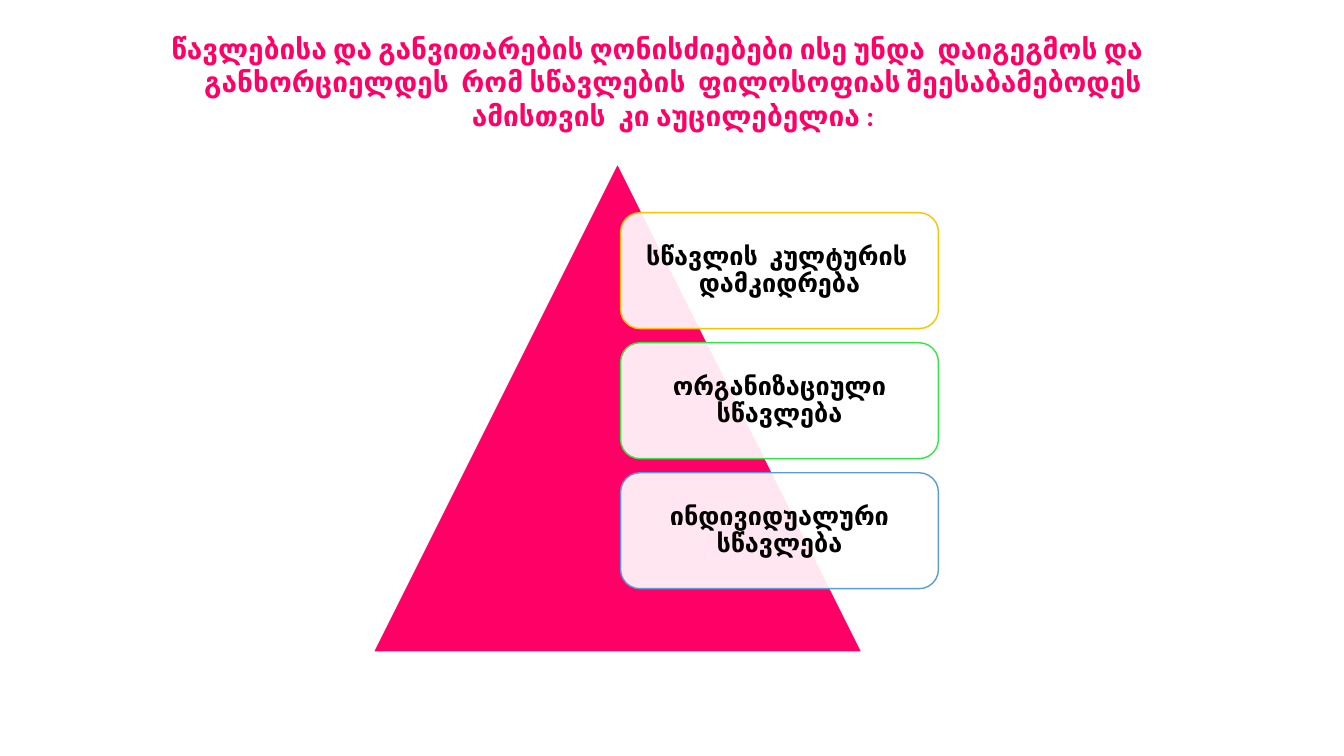
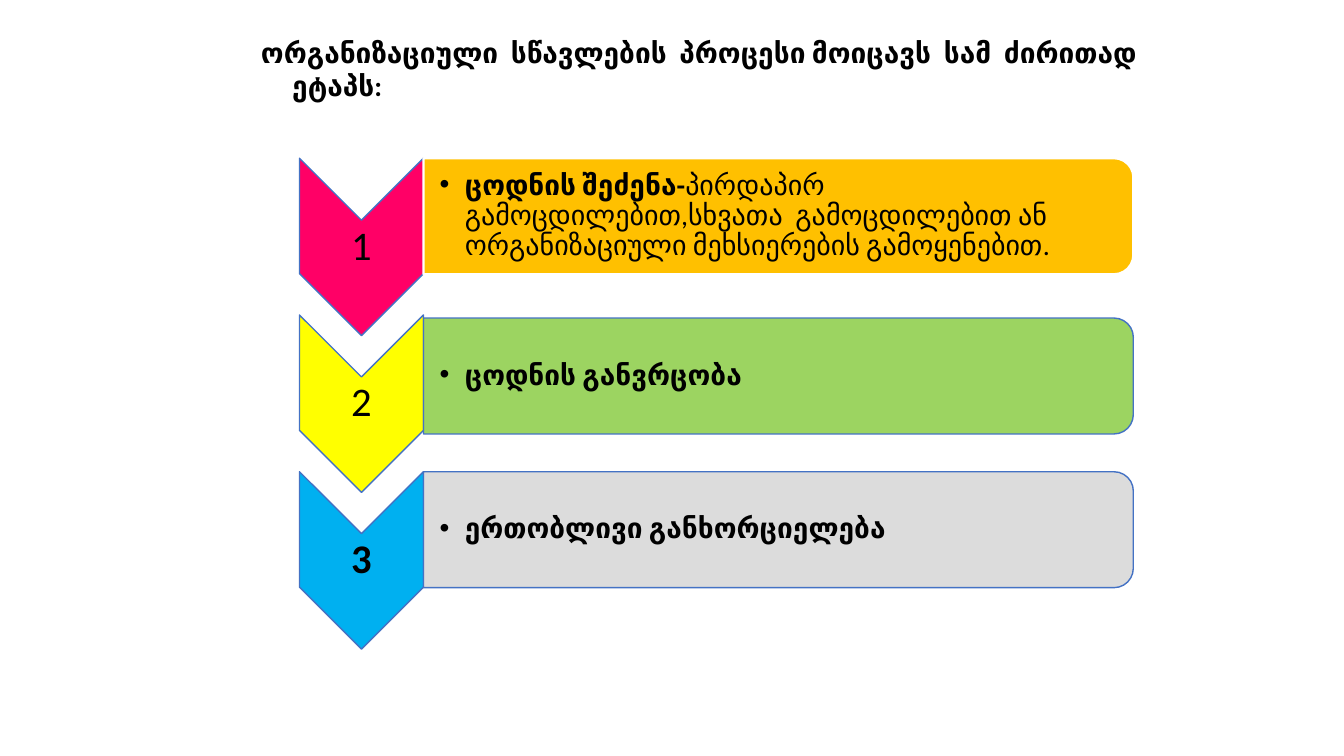
from dataclasses import dataclass

from lxml.etree import SubElement
from pptx import Presentation
from pptx.dml.color import RGBColor
from pptx.enum.shapes import MSO_SHAPE
from pptx.enum.text import MSO_ANCHOR, MSO_AUTO_SIZE, PP_ALIGN
from pptx.oxml.ns import qn
from pptx.util import Inches, Pt


@dataclass(frozen=True)
class Theme:
    font: str = "Calibri"
    title_size: int = 20
    card_size: int = 18
    number_size: int = 29
    step_size: int = 20
    text: str = "000000"
    white: str = "FFFFFF"
    pink: str = "FF0066"
    amber: str = "FFC000"
    green: str = "30E845"
    blue: str = "5B9BD5"
    outline: str = "4472C4"
    yellow: str = "FFFF00"
    lime: str = "92D050"
    cyan: str = "00B0F0"
    gray: str = "D9D9D9"
    opacity: int = 90


T = Theme()


# Shared helpers
def add_shape(s, kind, box, fill, line, line_width=1, opacity=100, turned=False):
    """Draw a preset in box; a turned one is rotated 90° and still fills box."""
    x, y, w, h = box
    if turned:
        x, y, w, h = x + (w - h) / 2, y + (h - w) / 2, h, w
    sp = s.shapes.add_shape(kind, Inches(x), Inches(y), Inches(w), Inches(h))
    sp.rotation = 90 if turned else 0
    sp.shadow.inherit = False
    sp.fill.solid()
    sp.fill.fore_color.rgb = RGBColor.from_string(fill)
    if opacity < 100:
        color = sp.fill._xPr.find(qn("a:solidFill"))[0]
        SubElement(color, qn("a:alpha"), val=str(opacity * 1000))
    sp.line.color.rgb = RGBColor.from_string(line)
    sp.line.width = Pt(line_width)
    return sp


def add_text(s, box, runs, size, color=T.text, align=PP_ALIGN.CENTER,
             anchor=MSO_ANCHOR.MIDDLE, insets=(0.1, 0.05, 0.1, 0.05),
             spacing=0.9, hanging=0, bullet=None):
    """Add a one-paragraph text box; runs are (text, bold) pairs."""
    tf = s.shapes.add_textbox(*(Inches(v) for v in box)).text_frame
    tf.word_wrap = True
    tf.vertical_anchor = anchor
    tf.margin_left, tf.margin_top, tf.margin_right, tf.margin_bottom = (
        Inches(v) for v in insets)
    p = tf.paragraphs[0]
    p.alignment = align
    p.line_spacing = spacing
    pPr = p._p.get_or_add_pPr()
    if hanging:
        pPr.set("marL", str(Inches(hanging)))
        pPr.set("indent", str(Inches(-hanging)))
    if bullet:
        SubElement(pPr, qn("a:buFont"), typeface="Arial")
        SubElement(pPr, qn("a:buChar"), char=bullet)
    for text, bold in runs:
        r = p.add_run()
        r.text = text
        r.font.name = T.font
        r.font.size = Pt(size)
        r.font.bold = bold
        r.font.color.rgb = RGBColor.from_string(color)
    return tf


def add_title(s, box, text, color, align):
    tf = add_text(s, box, [(text, True)], T.title_size, color, align,
                  MSO_ANCHOR.TOP, spacing=1.0, hanging=0.31)
    tf.auto_size = MSO_AUTO_SIZE.SHAPE_TO_FIT_TEXT


# Pyramid with a column of cards
def add_pyramid(s, box, cards):
    x, y, side, _ = box
    add_shape(s, MSO_SHAPE.ISOSCELES_TRIANGLE, box, T.pink, T.white)
    card_w, card_h, pitch, pad = side * 0.65, 1.15, 1.29, 0.06
    card_x = x + side / 2 + 0.03
    for i, (text, line) in enumerate(cards):
        card_y = y + 0.49 + i * pitch
        add_shape(s, MSO_SHAPE.ROUNDED_RECTANGLE, (card_x, card_y, card_w, card_h),
                  T.white, line, opacity=T.opacity)
        add_text(s, (card_x + pad, card_y + pad, card_w - 2 * pad, card_h - 2 * pad),
                 [(text, True)], T.card_size, insets=(0.07,) * 4)


# One numbered step: chevron and bar
def add_step(s, box, number, number_bold, chevron_fill, bar, runs):
    x, y, w, h = box
    chevron_w, bar_h, number_h, pad = 1.23, 1.15, 0.53, 0.06
    add_shape(s, MSO_SHAPE.CHEVRON, (x, y, chevron_w, h), chevron_fill,
              T.outline, turned=True)
    add_text(s, (x, y + (h - number_h) / 2, chevron_w, number_h),
             [(number, number_bold)], T.number_size, insets=(0.02,) * 4)
    bar_x, bar_y, bar_w = x + chevron_w, y + bar["drop"], w - chevron_w
    add_shape(s, MSO_SHAPE.ROUND_2_SAME_RECTANGLE, (bar_x, bar_y, bar_w, bar_h),
              bar["fill"], bar["line"], bar["width"], bar["opacity"], turned=True)
    add_text(s, (bar_x, bar_y + pad, bar_w - pad, bar_h - 2 * pad), runs,
             T.step_size, align=PP_ALIGN.LEFT, insets=(0.16, 0.01, 0.01, 0.01),
             hanging=0.25, bullet="•")


def add_steps(s, box, steps):
    x, y, w, h = box
    step_h = 1.76
    pitch = (h - step_h) / (len(steps) - 1)
    for i, step in enumerate(steps):
        add_step(s, (x, y + i * pitch, w, step_h), str(i + 1), *step)


def bar_style(fill, line=T.outline, width=1, opacity=T.opacity, drop=0):
    return dict(fill=fill, line=line, width=width, opacity=opacity, drop=drop)


# Slides
def pyramid_slide(prs):
    s = prs.slides.add_slide(prs.slide_layouts[6])
    add_title(s, (1, 0.26, 11.04, 1.11),
              "წავლებისა და განვითარების ღონისძიებები ისე უნდა  დაიგეგმოს და "
              "განხორციელდეს  რომ სწავლების  ფილოსოფიას შეესაბამებოდეს "
              "ამისთვის  კი აუცილებელია :", T.pink, PP_ALIGN.CENTER)
    add_pyramid(s, (3.7, 1.62, 4.85, 4.85), [
        ("სწავლის  კულტურის  დამკიდრება", T.amber),
        ("ორგანიზაციული სწავლება", T.green),
        ("ინდივიდუალური სწავლება", T.blue),
    ])


def steps_slide(prs):
    s = prs.slides.add_slide(prs.slide_layouts[6])
    add_title(s, (2.49, 0.3, 9.02, 1.11),
              "ორგანიზაციული  სწავლების  პროცესი მოიცავს  სამ  ძირითად ეტაპს:",
              T.text, PP_ALIGN.LEFT)
    add_steps(s, (2.97, 1.57, 8.27, 4.87), [
        (False, T.pink, bar_style(T.amber, T.white, 1.5, 100),
         [("ცოდნის შეძენა-", True),
          ("პირდაპირ გამოცდილებით,სხვათა  გამოცდილებით ან  "
           "ორგანიზაციული მეხსიერების გამოყენებით.", False)]),
        (False, T.yellow, bar_style(T.lime, drop=0.03),
         [("ცოდნის განვრცობა", True)]),
        (True, T.cyan, bar_style(T.gray),
         [("ერთობლივი განხორციელება", True)]),
    ])


def main():
    prs = Presentation()
    prs.slide_width, prs.slide_height = Inches(13.33), Inches(7.5)
    pyramid_slide(prs)
    steps_slide(prs)
    prs.save("out.pptx")


if __name__ == "__main__":
    main()
